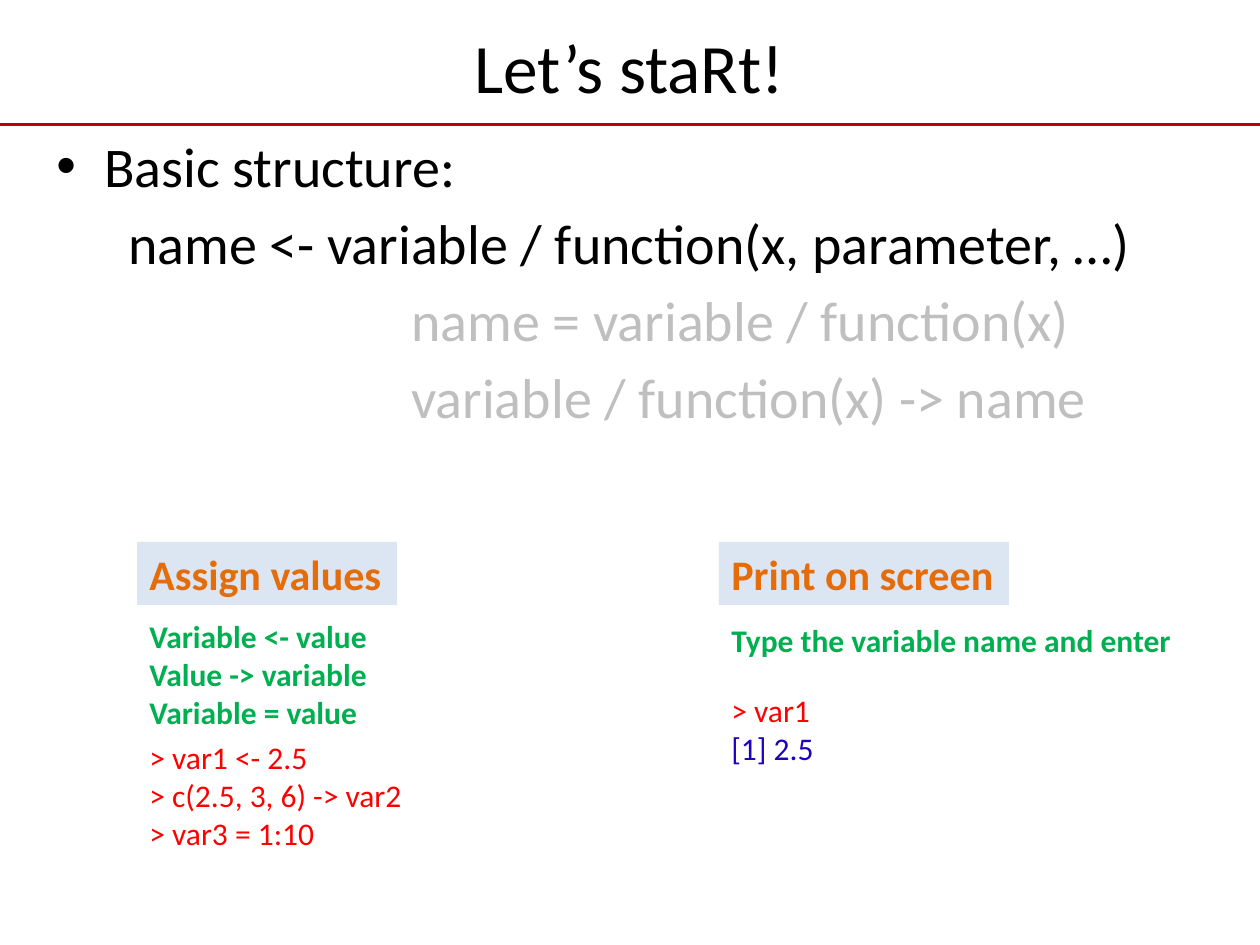
from lxml.etree import SubElement
from pptx import Presentation
from pptx.dml.color import RGBColor
from pptx.enum.shapes import MSO_CONNECTOR, MSO_SHAPE
from pptx.enum.text import MSO_ANCHOR, PP_ALIGN
from pptx.oxml.ns import qn
from pptx.util import Pt

PX = 914400 / 126
FONT = "Calibri"
BLACK = RGBColor(0x00, 0x00, 0x00)
GRAY = RGBColor(0xBF, 0xBF, 0xBF)
PALE = RGBColor(0xDC, 0xE6, 0xF2)
ORANGE = RGBColor(0xE4, 0x6C, 0x0A)
GREEN = RGBColor(0x00, 0xB0, 0x50)
RED = RGBColor(0xFF, 0x00, 0x00)
BLUE = RGBColor(0x1D, 0x02, 0xBE)
RULE = RGBColor(0xC0, 0x00, 0x00)

WIDTH, HEIGHT = 1260, 945
RULE_TOP = 125
HEAD_TOP, HEAD_HIGH = 542, 63

TITLE = "Let’s staRt!"
# text, colour, alignment, left margin, first-line indent, bullet
BODY = [
    ("Basic structure:", BLACK, PP_ALIGN.LEFT, 48, -48, "•"),
    ("name <- variable / function(x, parameter, …)", BLACK, PP_ALIGN.CENTER, 0, 0, None),
    ("name = variable / function(x)", GRAY, PP_ALIGN.LEFT, 355, 0, None),
    ("variable / function(x) -> name", GRAY, PP_ALIGN.LEFT, 355, 0, None),
]
# left, heading, heading width, then blocks of (top, width, height, bold, lines)
COLUMNS = [
    (137, "Assign values", 260, [
        (611, 245, 127, True, [("Variable <- value", GREEN),
                               ("Value -> variable", GREEN),
                               ("Variable = value", GREEN)]),
        (732, 288, 127, False, [("> var1 <- 2.5", RED),
                                ("> c(2.5, 3, 6) -> var2", RED),
                                ("> var3 = 1:10", RED)]),
    ]),
    (719, "Print on screen", 290, [
        (615, 469, 50, True, [("Type the variable name and enter", GREEN)]),
        (685, 116, 89, False, [("> var1", RED), ("[1] 2.5", BLUE)]),
    ]),
]


def px(*vals):
    return [round(v * PX) for v in vals]


def add_box(slide, area, wrap=False):
    box = slide.shapes.add_textbox(*px(*area))
    box.text_frame.word_wrap = wrap
    return box.text_frame


def add_line(frame, index, text, size, color, bold=False):
    """Write one paragraph, using the frame's ready first one for index 0."""
    para = frame.add_paragraph() if index else frame.paragraphs[0]
    run = para.add_run()
    run.text = text
    run.font.name = FONT
    run.font.size = Pt(size)
    run.font.bold = bold
    run.font.color.rgb = color
    return para


def add_title(slide):
    frame = add_box(slide, (44, 26, 1171, 79), True)
    frame.vertical_anchor = MSO_ANCHOR.MIDDLE
    add_line(frame, 0, TITLE, 39.6, BLACK).alignment = PP_ALIGN.CENTER


def add_body(slide):
    frame = add_box(slide, (44, RULE_TOP, 1171, 674), True)
    for i, (text, color, align, margin, indent, bullet) in enumerate(BODY):
        para = add_line(frame, i, text, 32, color)
        para.alignment = align
        if i:
            para.space_before = Pt(5.7)
        props = para._p.get_or_add_pPr()
        left, first = px(margin, indent)
        props.set("marL", str(left))
        props.set("indent", str(first))
        if bullet:
            SubElement(props, qn("a:buFont"), typeface="Arial")
            SubElement(props, qn("a:buChar"), char=bullet)


def add_head(slide, left, text, width):
    head = slide.shapes.add_shape(
        MSO_SHAPE.RECTANGLE, *px(left, HEAD_TOP, width, HEAD_HIGH))
    head.shadow.inherit = False
    head.fill.solid()
    head.fill.fore_color.rgb = PALE
    head.line.fill.background()
    frame = head.text_frame
    frame.word_wrap = False
    frame.vertical_anchor = MSO_ANCHOR.TOP
    add_line(frame, 0, text, 24, ORANGE, True).alignment = PP_ALIGN.LEFT


def add_rule(slide):
    rule = slide.shapes.add_connector(
        MSO_CONNECTOR.STRAIGHT, *px(0, RULE_TOP, WIDTH, RULE_TOP))
    rule.line.color.rgb = RULE
    rule.line.width = Pt(1.75)
    SubElement(rule._element.spPr, qn("a:effectLst"))


def main():
    deck = Presentation()
    deck.slide_width, deck.slide_height = px(WIDTH, HEIGHT)
    slide = deck.slides.add_slide(deck.slide_layouts[6])
    add_body(slide)
    add_title(slide)
    for left, head, width, blocks in COLUMNS:
        add_head(slide, left, head, width)
        for top, wide, high, bold, lines in blocks:
            frame = add_box(slide, (left, top, wide, high))
            for i, (text, color) in enumerate(lines):
                add_line(frame, i, text, 18, color, bold)
    add_rule(slide)
    deck.save("out.pptx")


if __name__ == "__main__":
    main()
